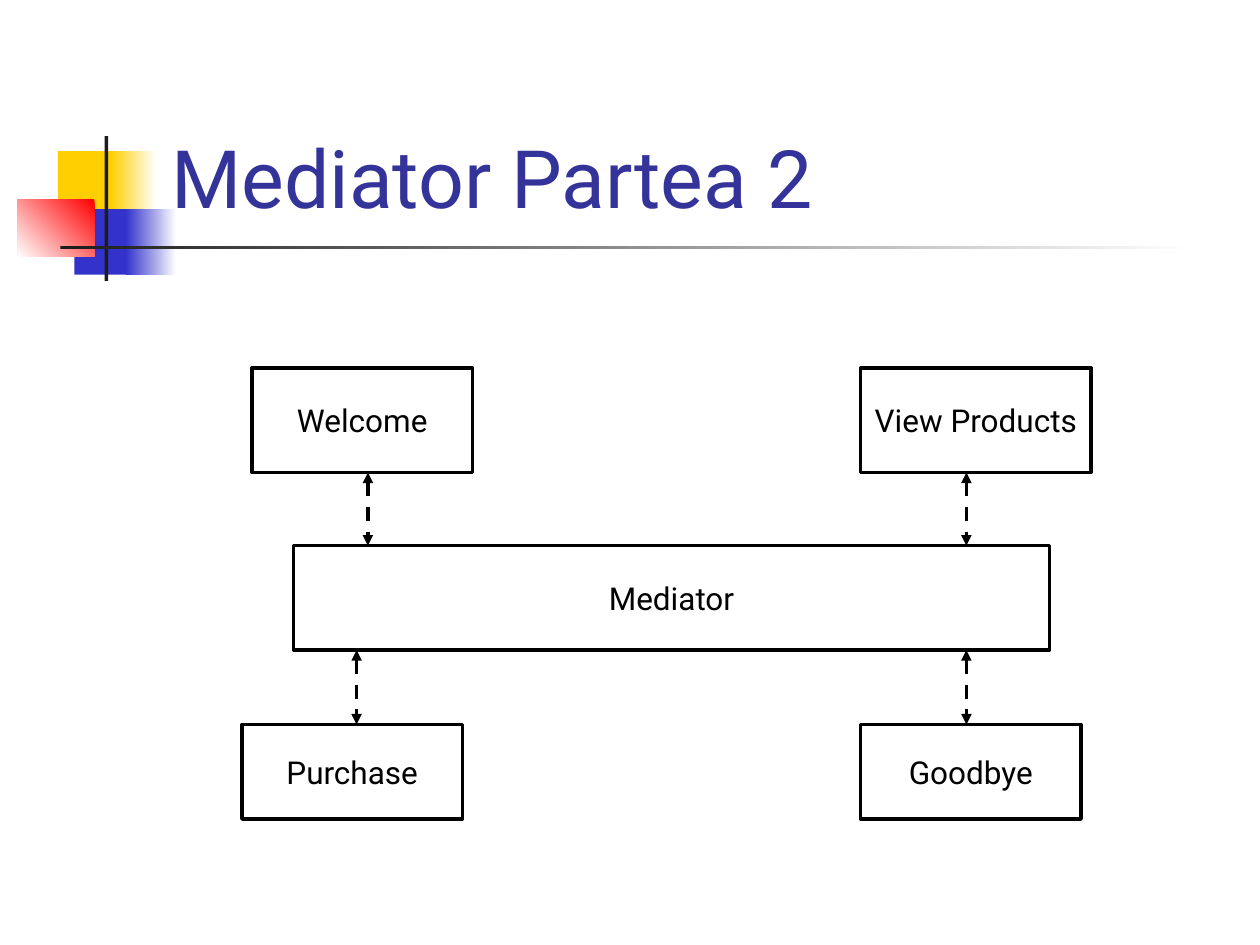
from dataclasses import dataclass
from typing import Optional

from lxml.etree import SubElement
from pptx import Presentation
from pptx.dml.color import RGBColor as RGB
from pptx.enum.dml import MSO_LINE_DASH_STYLE as Dash
from pptx.enum.shapes import MSO_CONNECTOR as Connector, MSO_SHAPE as Shape
from pptx.enum.text import MSO_ANCHOR as Anchor, MSO_AUTO_SIZE as AutoSize, PP_ALIGN as Align
from pptx.oxml.ns import qn
from pptx.util import Inches, Pt


@dataclass(frozen=True)
class Theme:
    font: str = "Roboto"
    title_size: int = 46
    label_size: int = 18
    line_width: int = 2
    title: str = "333399"
    ink: str = "000000"
    paper: str = "FFFFFF"
    yellow: str = "FFCF01"
    blue: str = "3333CC"
    red: str = "FF0000"
    bar: str = "1C1C1C"


THEME = Theme()


@dataclass(frozen=True)
class Block:
    """A decorative rectangle; with a fade angle it runs out into the paper colour."""
    left: float
    top: float
    width: float
    height: float
    color: str
    fade_angle: Optional[int] = None


@dataclass(frozen=True)
class Node:
    label: str
    left: float
    top: float
    width: float
    height: float


@dataclass(frozen=True)
class Link:
    x: float
    top: float
    bottom: float


DECORATION = [
    Block(0.46, 1.2, 0.48, 0.52, THEME.yellow),
    Block(0.88, 1.2, 0.36, 0.52, THEME.yellow, 0),
    Block(0.59, 1.66, 0.46, 0.52, THEME.blue),
    Block(1, 1.66, 0.4, 0.52, THEME.blue, 0),
    Block(0.14, 1.58, 0.61, 0.46, THEME.red, 225),
    Block(0.83, 1.08, 0.03, 1.15, THEME.bar),
    Block(0.48, 1.95, 9, 0.03, THEME.bar, 0),
]

# Rows of the diagram: pages above and below the mediator
UPPER_TOP, MEDIATOR_TOP, LOWER_TOP = 2.92, 4.33, 5.75
TALL, SHORT = 0.83, 0.75
PAGE_WIDTH, RIGHT_LEFT = 1.75, 6.83

NODES = [
    Node("Welcome", 2, UPPER_TOP, PAGE_WIDTH, TALL),
    Node("View Products", RIGHT_LEFT, UPPER_TOP, 1.83, TALL),
    Node("Purchase", 1.92, LOWER_TOP, PAGE_WIDTH, SHORT),
    Node("Goodbye", RIGHT_LEFT, LOWER_TOP, PAGE_WIDTH, SHORT),
    Node("Mediator", 2.33, MEDIATOR_TOP, 6, TALL),
]

UPPER_GAP = (UPPER_TOP + TALL, MEDIATOR_TOP)
LOWER_GAP = (MEDIATOR_TOP + TALL, LOWER_TOP)
LINKS = [
    Link(2.92, *UPPER_GAP),
    Link(7.67, *UPPER_GAP),
    Link(7.67, *LOWER_GAP),
    Link(2.83, *LOWER_GAP),
]


def add_rectangle(slide, part):
    rectangle = slide.shapes.add_shape(
        Shape.RECTANGLE, Inches(part.left), Inches(part.top),
        Inches(part.width), Inches(part.height))
    rectangle.shadow.inherit = False
    return rectangle


def style_text(frame, size: int, color: str, align: Align) -> None:
    paragraph = frame.paragraphs[0]
    paragraph.alignment = align
    font = paragraph.runs[0].font
    font.name, font.size = THEME.font, Pt(size)
    font.color.rgb = RGB.from_string(color)


def style_line(line) -> None:
    line.color.rgb = RGB.from_string(THEME.ink)
    line.width = Pt(THEME.line_width)


def draw_block(slide, block: Block) -> None:
    rectangle = add_rectangle(slide, block)
    rectangle.line.fill.background()
    fill = rectangle.fill
    if block.fade_angle is None:
        fill.solid()
        fill.fore_color.rgb = RGB.from_string(block.color)
        return
    fill.gradient()
    fill.gradient_angle = block.fade_angle
    for stop, color in zip(fill.gradient_stops, (block.color, THEME.paper)):
        stop.color.rgb = RGB.from_string(color)


def draw_title(slide, wording: str) -> None:
    title = slide.shapes.title
    title.left, title.top = Inches(1.26), Inches(0.23)
    title.width, title.height = Inches(8.52), Inches(1.6)
    frame = title.text_frame
    frame.text = wording
    frame.auto_size = AutoSize.NONE
    frame.vertical_anchor = Anchor.BOTTOM
    style_text(frame, THEME.title_size, THEME.title, Align.LEFT)
    # Bring the title in front of the decoration
    slide.shapes._spTree.append(title._element)


def draw_node(slide, node: Node) -> None:
    box = add_rectangle(slide, node)
    box.fill.background()
    style_line(box.line)
    frame = box.text_frame
    frame.text = node.label
    frame.word_wrap = False
    frame.vertical_anchor = Anchor.MIDDLE
    style_text(frame, THEME.label_size, THEME.ink, Align.CENTER)


def draw_link(slide, link: Link) -> None:
    arrow = slide.shapes.add_connector(
        Connector.STRAIGHT, Inches(link.x), Inches(link.top),
        Inches(link.x), Inches(link.bottom))
    style_line(arrow.line)
    arrow.line.dash_style = Dash.DASH
    properties = arrow._element.spPr
    outline = properties.find(qn("a:ln"))
    for end in ("a:headEnd", "a:tailEnd"):
        SubElement(outline, qn(end), type="triangle")
    SubElement(properties, qn("a:effectLst"))


def main() -> None:
    deck = Presentation()
    deck.slide_width, deck.slide_height = Inches(10), Inches(7.5)
    title_only = deck.slide_layouts[5]
    slide = deck.slides.add_slide(title_only)

    # Corner decoration and title
    for block in DECORATION:
        draw_block(slide, block)
    draw_title(slide, "Mediator Partea 2")

    # Mediator diagram
    for node in NODES:
        draw_node(slide, node)
    for link in LINKS:
        draw_link(slide, link)

    deck.save("out.pptx")


if __name__ == "__main__":
    main()
